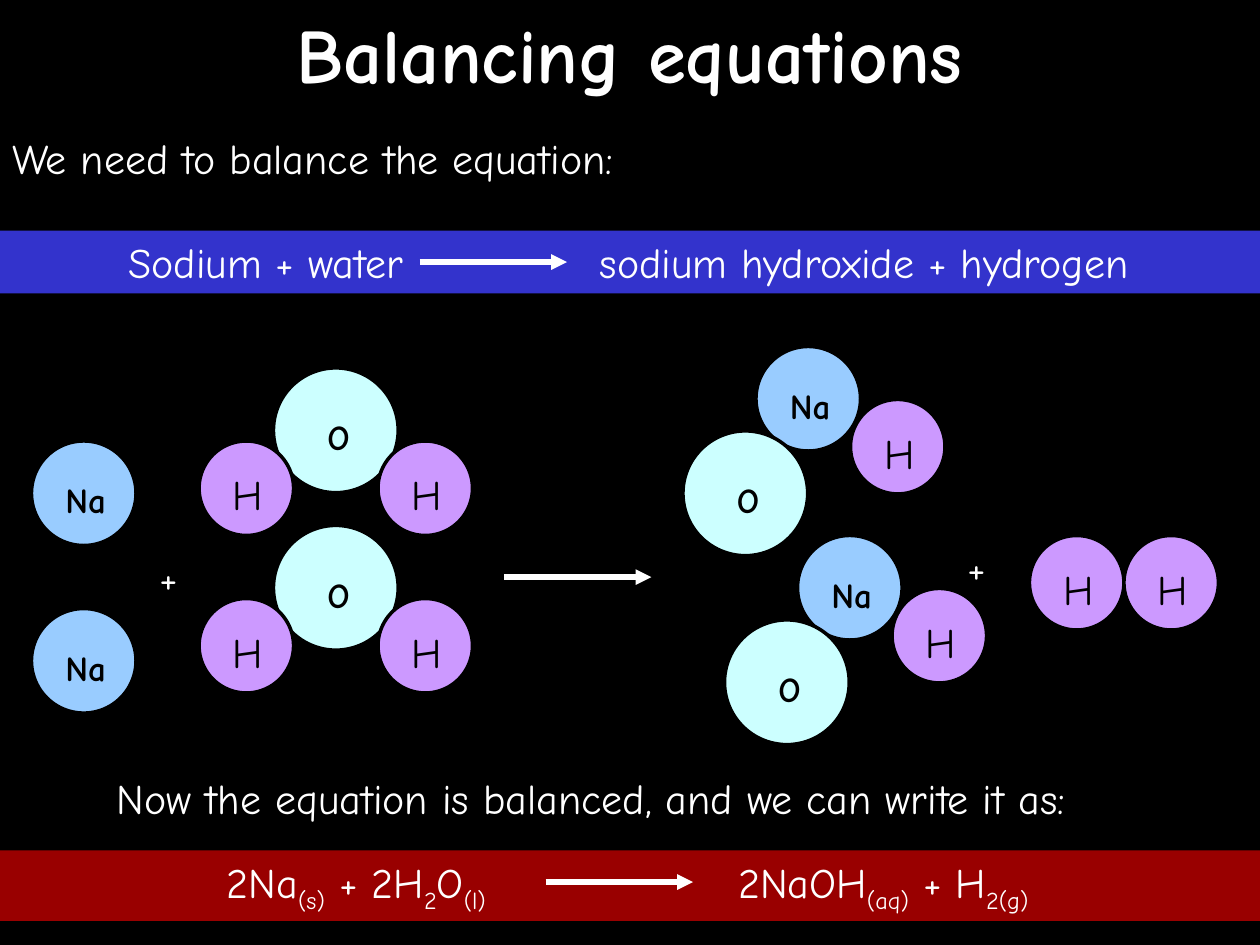
from lxml import etree
from pptx import Presentation
from pptx.dml.color import RGBColor
from pptx.enum.shapes import MSO_CONNECTOR, MSO_SHAPE
from pptx.enum.text import MSO_ANCHOR, PP_ALIGN
from pptx.oxml.ns import qn
from pptx.util import Inches, Pt

STRAIGHT = MSO_CONNECTOR.STRAIGHT
OVAL, RECTANGLE = MSO_SHAPE.OVAL, MSO_SHAPE.RECTANGLE
LEFT, CENTER = PP_ALIGN.LEFT, PP_ALIGN.CENTER
TOP, MIDDLE = MSO_ANCHOR.TOP, MSO_ANCHOR.MIDDLE

FONT = "Comic Neue"
BLACK = RGBColor(0x00, 0x00, 0x00)
WHITE = RGBColor(0xFF, 0xFF, 0xFF)
BLUE = RGBColor(0x33, 0x33, 0xCC)
RED = RGBColor(0x99, 0x00, 0x00)
SODIUM = RGBColor(0x99, 0xCC, 0xFF)
OXYGEN = RGBColor(0xCC, 0xFF, 0xFF)
HYDROGEN = RGBColor(0xCC, 0x99, 0xFF)

presentation = Presentation()
presentation.slide_width = Inches(10)
presentation.slide_height = Inches(7.5)
slide = presentation.slides.add_slide(presentation.slide_layouts[6])
slide.background.fill.solid()
slide.background.fill.fore_color.rgb = BLACK


def write(shape, text, size=24, color=WHITE, bold=False, align=LEFT,
          anchor=TOP, inset=0.1, tab=None):
    """Fill a shape with one paragraph; parts between bars are subscripts."""
    frame = shape.text_frame
    frame.word_wrap = True
    frame.vertical_anchor = anchor
    frame.margin_left = Inches(inset)
    paragraph = frame.paragraphs[0]
    paragraph.alignment = align
    if tab:
        tabs = etree.SubElement(paragraph._p.get_or_add_pPr(), qn("a:tabLst"))
        etree.SubElement(tabs, qn("a:tab"), pos=str(Inches(tab)), algn="l")
    for index, part in enumerate(text.split("|")):
        if not part:
            continue
        run = paragraph.add_run()
        run.text = part
        run.font.name = FONT
        run.font.size = Pt(size)
        run.font.bold = bold
        run.font.color.rgb = color
        if index % 2:
            run.font._element.set("baseline", "-25000")


def add_solid(shapes, kind, left, top, width, height, fill):
    """Add a filled preset shape without shadow or outline."""
    shape = shapes.add_shape(kind, Inches(left), Inches(top), Inches(width), Inches(height))
    shape.shadow.inherit = False
    shape.fill.solid()
    shape.fill.fore_color.rgb = fill
    shape.line.fill.background()
    return shape


# Title, sentences and plus signs
for text, left, top, width, height, style in [
    ("Balancing equations", 0, 0, 10, 0.83,
     {"size": 44, "bold": True, "align": CENTER, "anchor": MIDDLE}),
    ("We need to balance the equation:", 0, 1, 10, 0.5, {}),
    ("+", 1.17, 4.33, 0.58, 0.5, {}),
    ("+", 7.58, 4.25, 0.58, 0.5, {}),
    ("Now the equation is balanced, and we can write it as:", 0.83, 6.08, 8.42, 0.5, {}),
]:
    box = slide.shapes.add_textbox(Inches(left), Inches(top), Inches(width), Inches(height))
    write(box, text, **style)

# Atoms: diameter, fill, label offset x and y, label width and height, text format
ATOMS = {
    "Na": (0.83, SODIUM, 0.17, 0.25, 0.58, 0.44, {"size": 20, "bold": True}),
    "O": (0.99, OXYGEN, 0.33, 0.33, 0.58, 0.44, {"size": 20, "bold": True}),
    "H": (0.75, HYDROGEN, 0.17, 0.17, 0.42, 0.5, {"size": 24}),
}

# Molecules: atoms with their offsets from the molecule's position
METAL = [("Na", 0, 0)]
WATER = [("O", 0.59, 0), ("H", 0, 0.58), ("H", 1.42, 0.58)]
HYDROXIDE = [("Na", 0, 0), ("O", -0.58, 0.67), ("H", 0.75, 0.42)]
HYDROGEN_GAS = [("H", 0, 0), ("H", 0.75, 0)]

for molecule, left, top in [
    (METAL, 0.25, 3.5), (METAL, 0.25, 4.83),
    (WATER, 1.58, 2.92), (WATER, 1.58, 4.17),
    (HYDROXIDE, 6, 2.75), (HYDROXIDE, 6.33, 4.25),
    (HYDROGEN_GAS, 8.17, 4.25),
]:
    group = slide.shapes.add_group_shape()
    for symbol, dx, dy in molecule:
        diameter, fill, label_x, label_y, width, height, style = ATOMS[symbol]
        x, y = left + dx, top + dy
        atom = add_solid(group.shapes, OVAL, x, y, diameter, diameter, fill)
        atom.line.color.rgb = BLACK
        atom.line.width = Pt(2)
        label = group.shapes.add_textbox(
            Inches(x + label_x), Inches(y + label_y), Inches(width), Inches(height))
        write(label, symbol, color=BLACK, **style)

# Equation bands, with a tab stop leaving room for the arrow
for text, top, height, fill, inset, tab in [
    ("Sodium + water\tsodium hydroxide + hydrogen", 1.83, 0.5, BLUE, 1.02, 3.74),
    ("2Na|(s)| + 2H|2|O|(l)|\t2NaOH|(aq)| + H|2(g)|", 6.75, 0.56, RED, 1.8, 4.06),
]:
    band = add_solid(slide.shapes, RECTANGLE, 0, top, 10, height, fill)
    write(band, text, inset=inset, tab=tab)

# Reaction arrows
for left, y in [(3.33, 2.08), (4, 4.58), (4.33, 7)]:
    arrow = slide.shapes.add_connector(
        STRAIGHT, Inches(left), Inches(y), Inches(left + 1.17), Inches(y))
    arrow.line.color.rgb = WHITE
    arrow.line.width = Pt(3)
    etree.SubElement(arrow.line._get_or_add_ln(), qn("a:tailEnd"), type="triangle")
    etree.SubElement(arrow._element.spPr, qn("a:effectLst"))

presentation.save("out.pptx")
